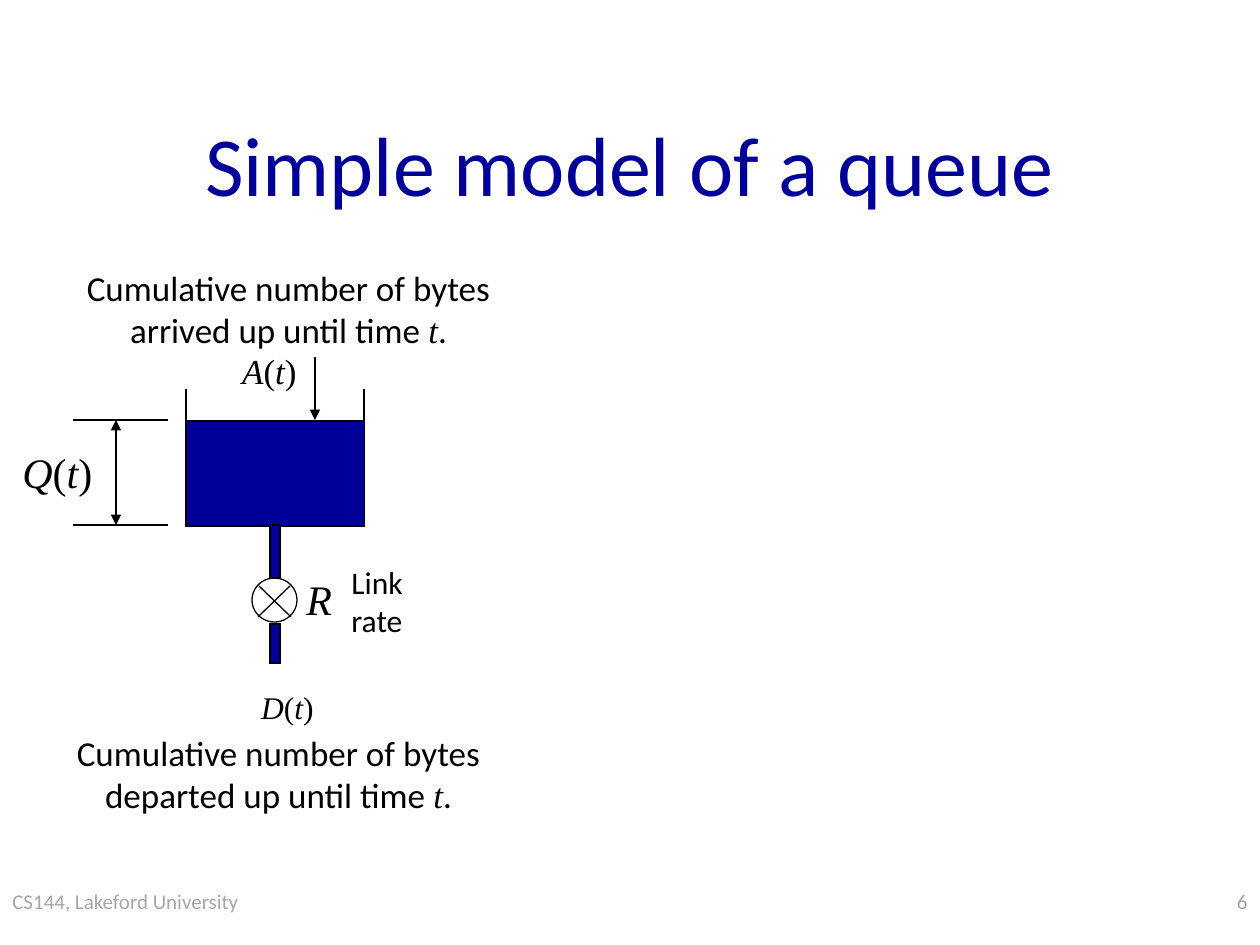
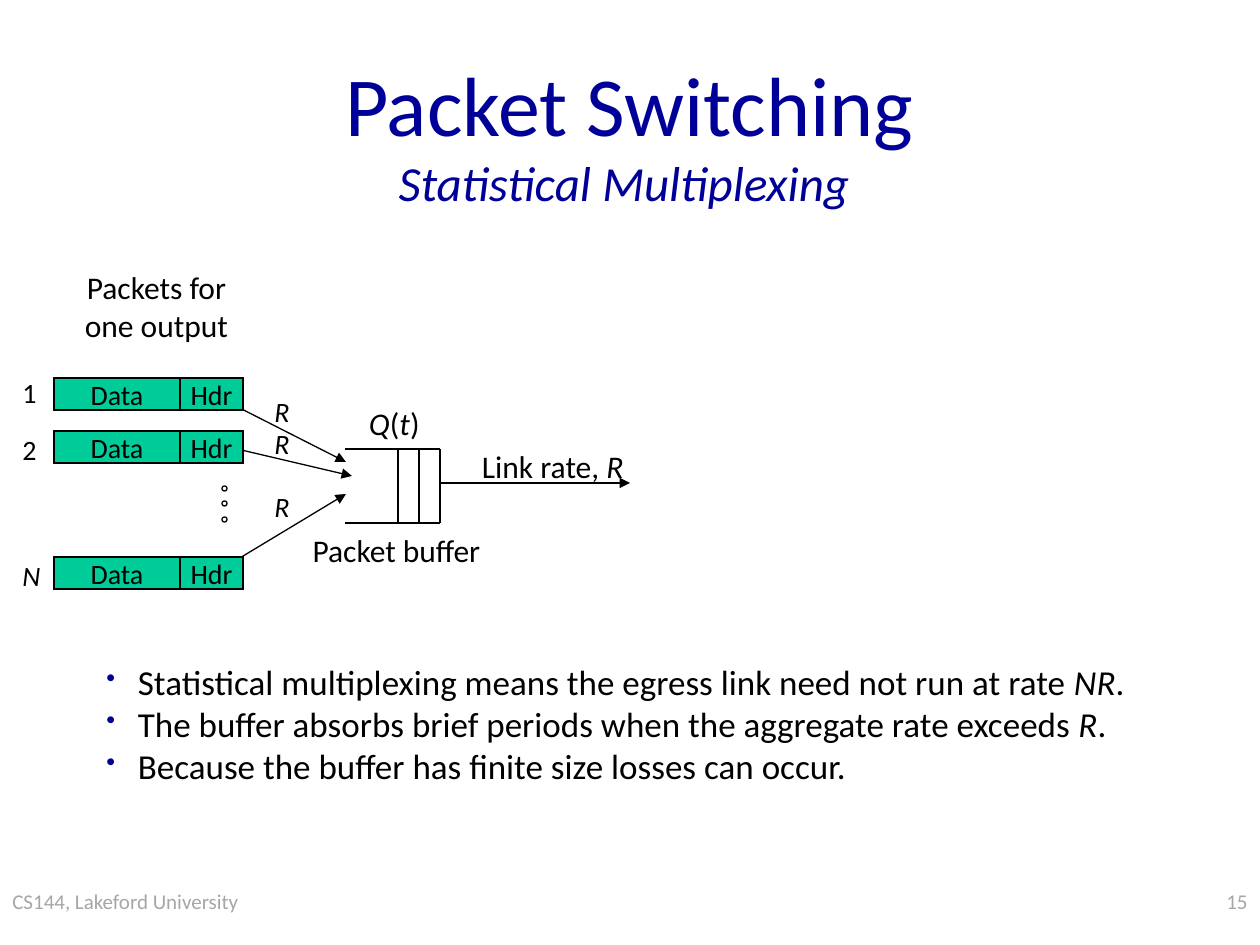
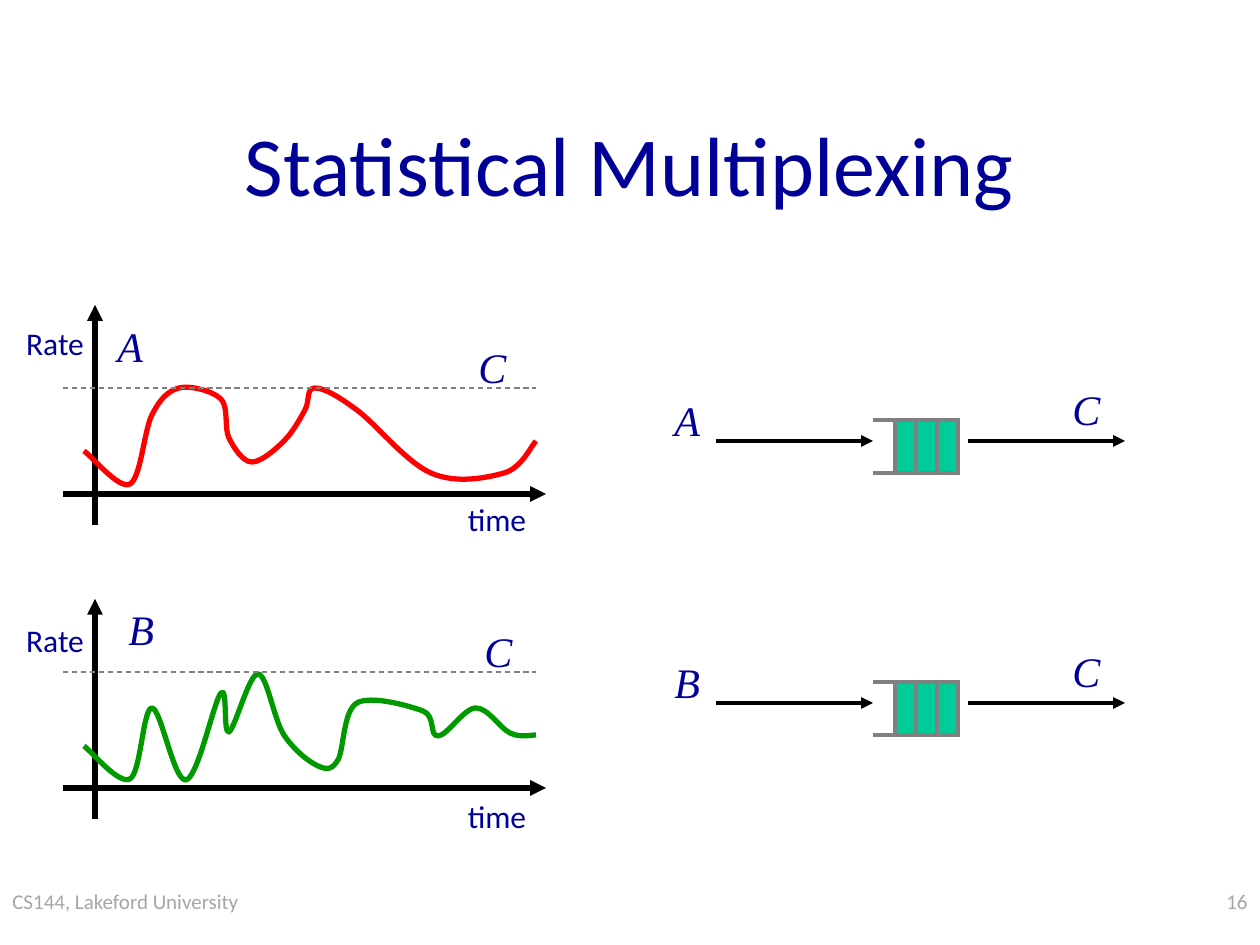
from dataclasses import dataclass
from typing import Any

from lxml.etree import SubElement
from pptx import Presentation
from pptx.dml.color import RGBColor
from pptx.enum.dml import MSO_LINE_DASH_STYLE as Dash
from pptx.enum.shapes import MSO_CONNECTOR, MSO_SHAPE as Preset
from pptx.enum.text import MSO_ANCHOR as Anchor, MSO_AUTO_SIZE as AutoSize, PP_ALIGN as Align
from pptx.oxml.ns import qn
from pptx.util import Pt

SCALE = 914400 // 126
WIDTH, HEIGHT = 1260, 945
NAVY, TEAL, BLACK, GRAY, FOOTER = "000099", "00CC99", "000000", "808080", "A6A6A6"
RED, GREEN = "FF0000", "009900"
SANS, SERIF = "Calibri", "Times New Roman"
THIN, MEDIUM, THICK = 0.75, 2.25, 3

Point = tuple[int, int]
Box = tuple[int, int, int, int]


@dataclass
class Label:
    text: str
    box: Box
    size: int = 18
    color: str = BLACK
    font: str = SANS
    italic_font: str = ""
    align: Align = Align.LEFT
    wrap: bool = False
    anchor: Anchor = Anchor.TOP
    bullets: bool = False
    fit: bool = True


@dataclass
class Stroke:
    start: Point
    end: Point
    color: str = BLACK
    width: float = THIN
    arrows: tuple[str, ...] = ()
    dashed: bool = False


@dataclass
class Block:
    box: Box
    fill: str = ""
    line: str = BLACK
    width: float = THIN
    preset: Preset = Preset.RECTANGLE
    text: str = ""


@dataclass
class Plot:
    name: str
    top: int
    limit: int
    color: str
    name_at: Point
    limit_name_at: Point
    time_top: int
    rate_top: int
    knots: list[Point]


@dataclass
class Queue:
    name: str
    middle: int


def px(value: float) -> int:
    return round(value * SCALE)


def rgb(color: str) -> RGBColor:
    return RGBColor.from_string(color)


def assign(target: Any, values: dict[str, Any]) -> None:
    for name, value in values.items():
        setattr(target, name, value)


def style_line(line: Any, color: str, width: float) -> None:
    line.color.rgb = rgb(color)
    line.width = Pt(width)


def add_run(paragraph: Any, text: str, size: int, color: str, font: str, italic: bool) -> None:
    run = paragraph.add_run()
    run.text = text
    assign(run.font, {"size": Pt(size), "name": font, "italic": italic})
    run.font.color.rgb = rgb(color)


def add_marked_text(paragraph: Any, text: str, label: Label) -> None:
    for index, piece in enumerate(text.split("*")):
        if piece:
            italic = index % 2 == 1
            font = label.italic_font if italic and label.italic_font else label.font
            add_run(paragraph, piece, label.size, label.color, font, italic)


def add_bullet(paragraph: Any) -> None:
    properties = paragraph._p.get_or_add_pPr()
    properties.set("marL", str(px(31.5)))
    properties.set("indent", str(-px(31.5)))
    color = SubElement(properties, qn("a:buClr"))
    SubElement(color, qn("a:srgbClr"), val=NAVY)
    SubElement(properties, qn("a:buSzPct"), val="75000")
    SubElement(properties, qn("a:buChar"), char="•")


def fill_text(frame: Any, label: Label) -> None:
    assign(frame, {"word_wrap": label.wrap, "vertical_anchor": label.anchor,
                   "auto_size": AutoSize.SHAPE_TO_FIT_TEXT if label.fit else AutoSize.NONE})
    for index, text in enumerate(label.text.split("\n")):
        paragraph = frame.add_paragraph() if index else frame.paragraphs[0]
        paragraph.alignment = label.align
        if label.bullets:
            add_bullet(paragraph)
        add_marked_text(paragraph, text, label)


def draw_label(slide: Any, label: Label) -> Any:
    shape = slide.shapes.add_textbox(*map(px, label.box))
    fill_text(shape.text_frame, label)
    return shape


def draw_stroke(slide: Any, stroke: Stroke) -> None:
    connector = slide.shapes.add_connector(
        MSO_CONNECTOR.STRAIGHT, *map(px, stroke.start + stroke.end))
    style_line(connector.line, stroke.color, stroke.width)
    if stroke.dashed:
        connector.line.dash_style = Dash.DASH
    outline = connector.line._get_or_add_ln()
    for end in stroke.arrows:
        SubElement(outline, qn(f"a:{end}"), type="triangle")
    SubElement(connector._element.spPr, qn("a:effectLst"))


def draw_block(slide: Any, block: Block) -> None:
    shape = slide.shapes.add_shape(block.preset, *map(px, block.box))
    shape.shadow.inherit = False
    if block.fill:
        shape.fill.solid()
        shape.fill.fore_color.rgb = rgb(block.fill)
    else:
        shape.fill.background()
    style_line(shape.line, block.line, block.width)
    SubElement(shape.line._get_or_add_ln(), qn("a:miter"), lim="800000")
    if block.text:
        fill_text(shape.text_frame, Label(block.text, block.box, 16, align=Align.CENTER,
                                          anchor=Anchor.MIDDLE, fit=False))


def draw_all(slide: Any, items: list[Any]) -> None:
    painters = {Label: draw_label, Stroke: draw_stroke, Block: draw_block}
    for item in items:
        painters[type(item)](slide, item)


def curve_points(knots: list[Point]) -> list[tuple[float, float]]:
    padded = [knots[0], *knots, knots[-1]]
    points: list[tuple[float, float]] = []
    for before, start, end, after in zip(padded, padded[1:], padded[2:], padded[3:]):
        points += [
            (start[0] + (end[0] - before[0]) / 6, start[1] + (end[1] - before[1]) / 6),
            (end[0] - (after[0] - start[0]) / 6, end[1] - (after[1] - start[1]) / 6),
            end,
        ]
    return points


def draw_curve(slide: Any, knots: list[Point], color: str) -> None:
    builder = slide.shapes.build_freeform(*knots[0], scale=SCALE)
    builder.add_line_segments(curve_points(knots), close=False)
    shape = builder.convert_to_shape()
    segments = list(shape._element.iter(qn("a:lnTo")))
    for triple in zip(segments[::3], segments[1::3], segments[2::3]):
        curve = SubElement(triple[0].getparent(), qn("a:cubicBezTo"))
        for segment in triple:
            curve.append(segment[0])
            segment.getparent().remove(segment)
    shape.shadow.inherit = False
    shape.fill.background()
    style_line(shape.line, color, THICK)


def start_slide(presentation: Any, number: int, title: str, subtitle: str = "") -> Any:
    slide = presentation.slides.add_slide(presentation.slide_layouts[6])
    top = 53 if subtitle else 84
    draw_all(slide, [
        Label("CS144, Lakeford University", (0, 882, 305, 63), 12, FOOTER, wrap=True, fit=False),
        Label(str(number), (998, 882, 262, 63), 12, FOOTER, align=Align.RIGHT, wrap=True, fit=False),
    ])
    heading = draw_label(slide, Label(title, (94, top, 1071, 158), 48, NAVY, align=Align.CENTER,
                                      wrap=True, anchor=Anchor.MIDDLE, fit=False))
    if subtitle:
        paragraph = heading.text_frame.paragraphs[0]
        paragraph.add_line_break()
        add_run(paragraph, subtitle, 28, NAVY, SANS, True)
    return slide


def symbol(text: str, left: int, top: int, width: int = 53, color: str = NAVY) -> Label:
    return Label(f"*{text}*", (left, top, width, 63), 24, color, SERIF)


def build_queue_model(presentation: Any) -> None:
    slide = start_slide(presentation, 6, "Simple model of a queue")
    caption = {"size": 20, "italic_font": SERIF, "align": Align.CENTER, "wrap": True}
    draw_all(slide, [
        *(Stroke((x, 389), (x, 525)) for x in (186, 364)),
        Block((186, 421, 179, 105), NAVY),
        Block((270, 525, 10, 53), NAVY),
        Block((252, 578, 45, 44), preset=Preset.OVAL),
        Stroke((259, 586), (291, 617)),
        Stroke((290, 586), (258, 617)),
        Block((270, 624, 10, 39), NAVY),
        Stroke((315, 357), (315, 420), arrows=("tailEnd",)),
        Label("*A*(*t*)", (224, 343, 85, 54), 20, font=SERIF, align=Align.RIGHT),
        Label("*D*(*t*)", (246, 682, 80, 50), font=SERIF, align=Align.RIGHT),
        Label("Cumulative number of bytes departed up until time *t*.", (53, 725, 451, 97), **caption),
        Label("Link\nrate", (339, 557, 134, 89), wrap=True),
        Label("Cumulative number of bytes arrived up until time *t*.", (73, 260, 431, 97), **caption),
        *(Stroke((73, y), (168, y)) for y in (420, 525)),
        Stroke((116, 420), (116, 525), arrows=("headEnd", "tailEnd")),
        Label("*Q*(*t*)", (10, 440, 98, 63), 24, font=SERIF),
        symbol("R", 294, 567, 66, BLACK),
    ])


def build_packet_switching(presentation: Any) -> None:
    slide = start_slide(presentation, 15, "Packet Switching", "Statistical Multiplexing ")
    centered = {"align": Align.CENTER, "wrap": True}
    draw_all(slide, [
        *(Stroke((345, y), (440, y)) for y in (449, 523)),
        *(Stroke((x, 449), (x, 523)) for x in (440, 419, 398)),
        *(Stroke(start, end, arrows=("tailEnd",)) for start, end in (
            ((441, 483), (630, 483)), ((220, 398), (346, 462)),
            ((220, 445), (352, 476)), ((215, 573), (346, 494)))),
        *(Block((222, y, 5, 5), preset=Preset.OVAL) for y in (486, 501, 517)),
        Label("Link rate, *R*", (459, 441, 177, 50), align=Align.RIGHT),
        Label("*Q*(*t*)", (352, 398, 80, 50), align=Align.RIGHT),
        Label("Packet buffer", (294, 525, 205, 50), **centered),
        Label("Packets for one output", (54, 262, 205, 88), **centered),
    ])
    for name, name_top, name_width, top, rate_top in (
            ("1", 369, 40, 378, 388), ("2", 426, 40, 431, 420), ("*N*", 552, 50, 557, 483)):
        draw_all(slide, [
            Block((54, top, 126, 32), TEAL, text="Data"),
            Block((180, top, 63, 32), TEAL, text="Hdr"),
            Label("*R*", (262, rate_top, 48, 47), 16),
            Label(name, (10, name_top, name_width, 47), 16),
        ])
    draw_label(slide, Label(
        "Statistical multiplexing means the egress link need not run at rate *NR*.\n"
        "The buffer absorbs brief periods when the aggregate rate exceeds *R*.\n"
        "Because the buffer has finite size losses can occur.",
        (94, 654, 1102, 140), 20, wrap=True, bullets=True))


def draw_plot(slide: Any, plot: Plot) -> None:
    axis = {"width": THICK, "arrows": ("tailEnd",)}
    word = {"color": NAVY, "align": Align.CENTER}
    base = plot.top + 189
    draw_all(slide, [
        Stroke((95, plot.top + 220), (95, plot.top), **axis),
        Stroke((63, base), (546, base), **axis),
    ])
    draw_curve(slide, plot.knots, plot.color)
    draw_all(slide, [
        Stroke((63, plot.limit), (536, plot.limit), GRAY, dashed=True),
        symbol(plot.name, *plot.name_at, 50),
        Label("time", (455, plot.time_top, 84, 50), **word),
        Label("Rate", (13, plot.rate_top, 84, 50), **word),
        symbol("C", *plot.limit_name_at),
    ])


def draw_queue(slide: Any, queue: Queue) -> None:
    middle = queue.middle
    top, bottom = middle - 21, middle + 32
    arrow = {"width": MEDIUM, "arrows": ("tailEnd",)}
    draw_all(slide, [
        Stroke((716, middle), (873, middle), **arrow),
        *(Block((895 + 21 * cell, top, 21, 53), TEAL, GRAY, MEDIUM) for cell in range(3)),
        *(Stroke((873, y), (916, y), GRAY, MEDIUM) for y in (top, bottom)),
        Stroke((968, middle), (1125, middle), **arrow),
        symbol(queue.name, 662, middle - 53, 50),
        symbol("C", 1060, middle - 64),
    ])


def build_multiplexing(presentation: Any) -> None:
    slide = start_slide(presentation, 16, "Statistical Multiplexing")
    plots = [
        Plot("A", 305, 388, RED, (105, 314), (466, 335), 494, 318, [
            (84, 451), (130, 484), (152, 415), (179, 388), (221, 399), (229, 438), (252, 462),
            (284, 441), (305, 410), (315, 388), (357, 410), (431, 473), (504, 473), (536, 441)]),
        Plot("B", 599, 672, GREEN, (116, 597), (472, 619), 791, 615, [
            (84, 746), (130, 779), (152, 708), (186, 780), (221, 693), (229, 732), (258, 674),
            (284, 735), (318, 766), (338, 760), (357, 703), (423, 711), (438, 736), (476, 708),
            (510, 733), (536, 735)]),
    ]
    for plot in plots:
        draw_plot(slide, plot)
    for queue in (Queue("A", 441), Queue("B", 703)):
        draw_queue(slide, queue)


def main() -> None:
    presentation = Presentation()
    assign(presentation, {"slide_width": px(WIDTH), "slide_height": px(HEIGHT)})
    for build in (build_queue_model, build_packet_switching, build_multiplexing):
        build(presentation)
    presentation.save("out.pptx")


main()
